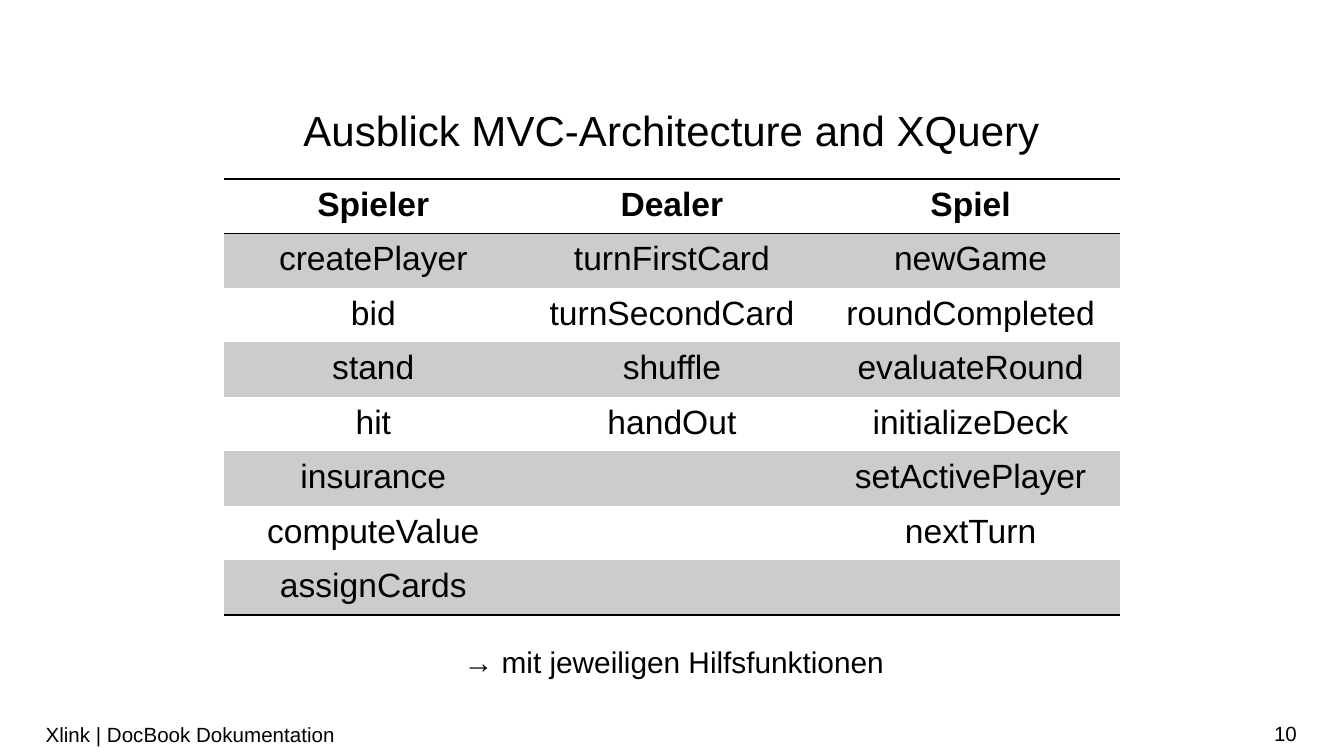
from lxml.etree import SubElement
from pptx import Presentation
from pptx.dml.color import RGBColor
from pptx.enum.text import MSO_ANCHOR, MSO_AUTO_SIZE, PP_ALIGN
from pptx.oxml import parse_xml
from pptx.oxml.ns import nsdecls, qn
from pptx.util import Inches, Pt

COLORS = {"text": "000000", "rule": "000000", "band": "CCCCCC"}
FONT = "Arial"
WIDTH = Inches(10)
HEIGHT = WIDTH * 9 // 16
GRID_COLUMNS = 100
UNIT = WIDTH // GRID_COLUMNS
PLAIN_TABLE_STYLE = "{2D5ABB26-0587-4C30-8999-92F81FD0307C}"

FUNCTIONS = {
    "Spieler": ["createPlayer", "bid", "stand", "hit", "insurance",
                "computeValue", "assignCards"],
    "Dealer": ["turnFirstCard", "turnSecondCard", "shuffle", "handOut"],
    "Spiel": ["newGame", "roundCompleted", "evaluateRound", "initializeDeck",
              "setActivePlayer", "nextTurn"],
}


def grid(*units):
    return [round(unit * UNIT) for unit in units]


def format_text(text_frame, size, alignment=PP_ALIGN.LEFT, bold=False):
    for paragraph in text_frame.paragraphs:
        paragraph.alignment = alignment
        for item in (paragraph, *paragraph.runs):
            item.font.name = FONT
            item.font.size = Pt(size)
            item.font.bold = bold
            item.font.color.rgb = RGBColor.from_string(COLORS["text"])


def set_margins(text_frame, vertical=0):
    text_frame.margin_left = text_frame.margin_right = 0
    text_frame.margin_top = text_frame.margin_bottom = Inches(vertical)


def add_title(slide, text):
    title = slide.shapes.title
    title.left, title.top, title.width, title.height = grid(3.45, 8.2, 93.1, 3.4)
    text_frame = title.text_frame
    text_frame.text = text
    text_frame.vertical_anchor = MSO_ANCHOR.TOP
    text_frame.auto_size = MSO_AUTO_SIZE.NONE
    set_margins(text_frame)
    format_text(text_frame, 22.5, PP_ALIGN.CENTER)
    text_frame.paragraphs[0].line_spacing = Pt(24)


def add_text(slide, text, area, size, alignment=PP_ALIGN.LEFT, margin=0):
    text_frame = slide.shapes.add_textbox(*grid(*area)).text_frame
    text_frame.text = text
    set_margins(text_frame, margin)
    format_text(text_frame, size, alignment)
    return text_frame


def add_footer(slide, text, area, alignment=PP_ALIGN.LEFT):
    text_frame = add_text(slide, text, area, 11, alignment, margin=0.05)
    text_frame.word_wrap = True
    text_frame.vertical_anchor = MSO_ANCHOR.MIDDLE


def add_rule(cell, side):
    line = parse_xml(f'<a:{side} {nsdecls("a")} w="{Pt(1)}"/>')
    fill = SubElement(line, qn("a:solidFill"))
    SubElement(fill, qn("a:srgbClr"), val=COLORS["rule"])
    cell._tc.get_or_add_tcPr().insert(0, line)


def format_cell(cell, row, last_row):
    format_text(cell.text_frame, 18, PP_ALIGN.CENTER, bold=row == 0)
    if row % 2:
        cell.fill.solid()
        cell.fill.fore_color.rgb = RGBColor.from_string(COLORS["band"])
    else:
        cell.fill.background()
    if row in (0, last_row):
        add_rule(cell, "lnB")
    if row == 0:
        add_rule(cell, "lnT")


def add_function_table(slide):
    row_count = 1 + max(map(len, FUNCTIONS.values()))
    left, top, width, height = grid(
        GRID_COLUMNS / 6, 13.33, GRID_COLUMNS * 2 / 3, 32.44)
    table = slide.shapes.add_table(
        row_count, len(FUNCTIONS), left, top, width, height).table
    table.horz_banding = table.first_row = False
    table._tbl.tblPr.find(qn("a:tableStyleId")).text = PLAIN_TABLE_STYLE
    for column, (heading, names) in enumerate(FUNCTIONS.items()):
        for row, text in enumerate([heading, *names]):
            table.cell(row, column).text_frame.text = text
        for row in range(row_count):
            format_cell(table.cell(row, column), row, row_count - 1)


def main():
    presentation = Presentation()
    presentation.slide_width, presentation.slide_height = WIDTH, HEIGHT
    slide = presentation.slides.add_slide(presentation.slide_layouts[5])
    add_footer(slide, "10", (74.1, 53.1, 22.4, 3), PP_ALIGN.RIGHT)
    add_footer(slide, "Xlink | DocBook Dokumentation", (3.4, 53.05, 85.6, 3.2))
    add_title(slide, "Ausblick MVC-Architecture and XQuery")
    add_function_table(slide)
    note = add_text(slide, "→ mit jeweiligen Hilfsfunktionen",
                    (34.5, 47.54, 31.7, 2.8), 16)
    note.word_wrap = False
    note.paragraphs[0].line_spacing = 1.14
    presentation.save("out.pptx")


if __name__ == "__main__":
    main()
